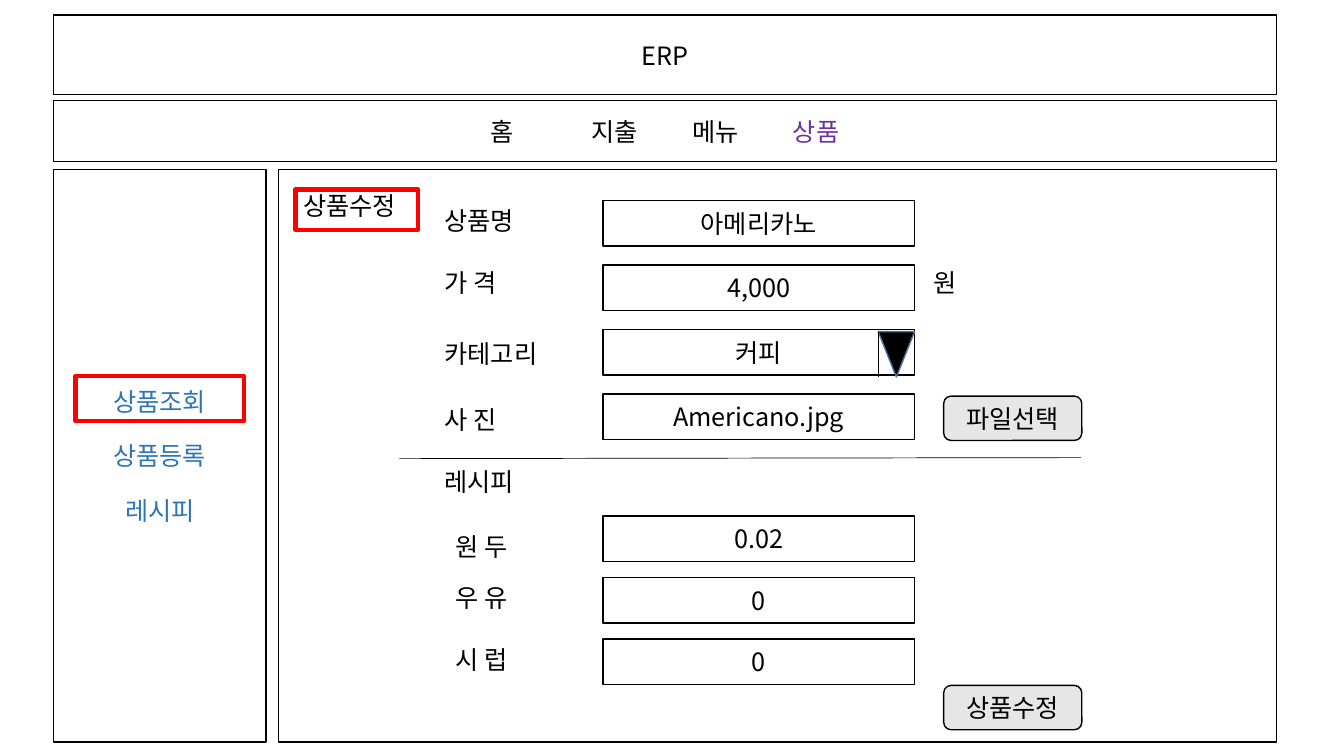
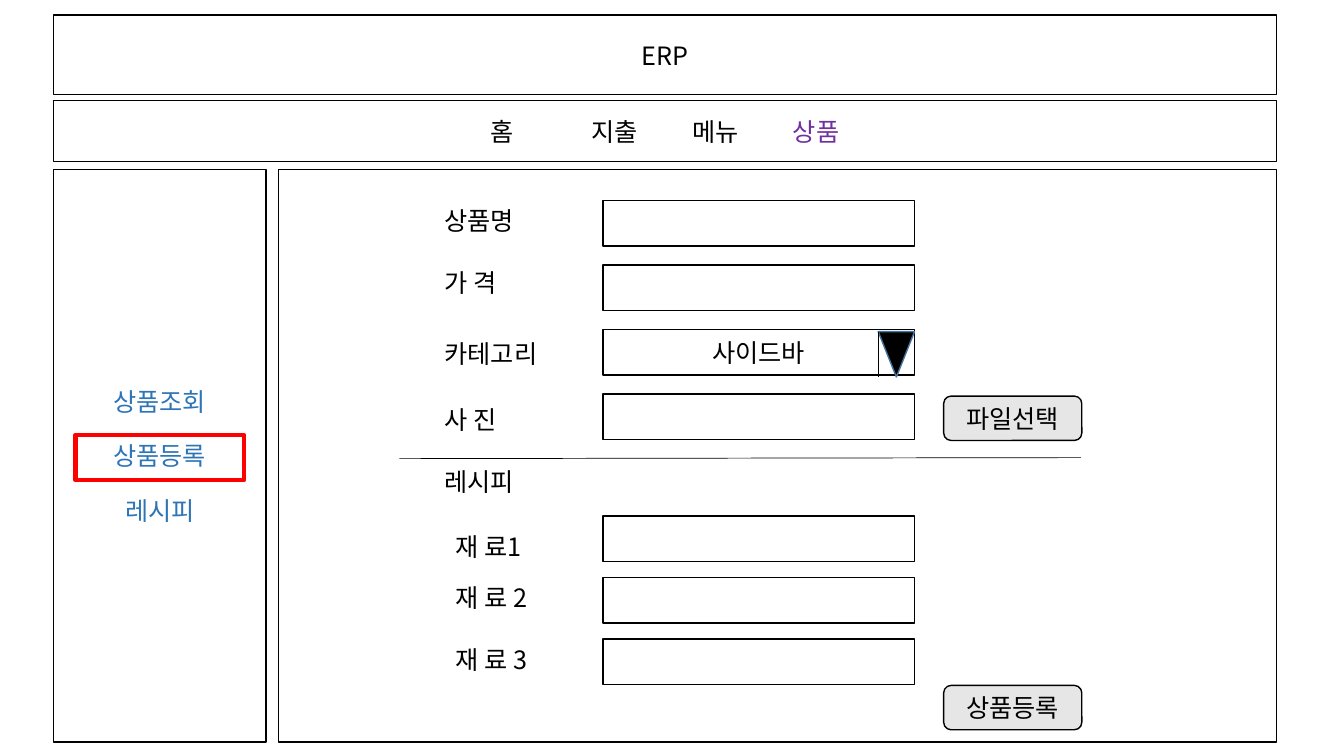
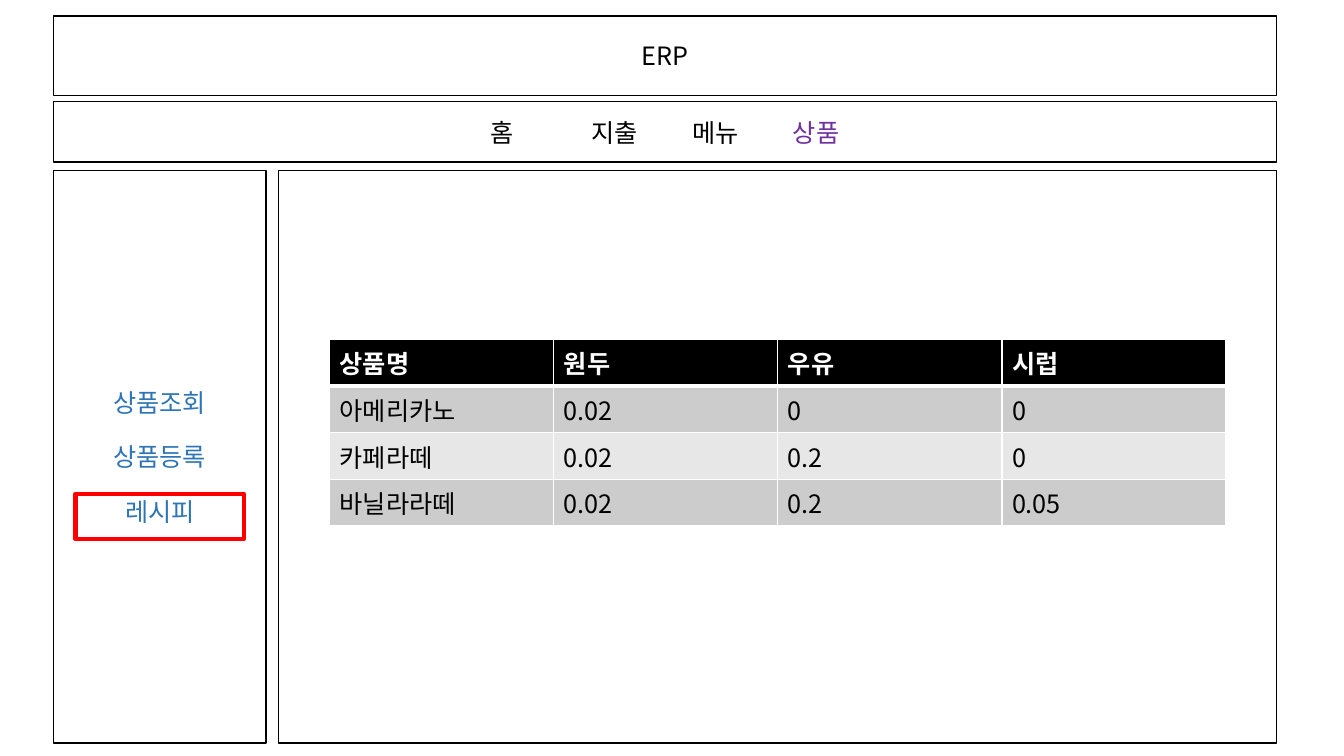
import pptx
import pptx.util
import pptx.dml.color
import pptx.enum.shapes
import pptx.enum.text
import pptx.oxml
import pptx.oxml.ns
from dataclasses import dataclass
from pptx.util import Inches


@dataclass(frozen=True)
class Theme:
    font: str = "Noto Sans CJK KR"
    size: int = 18
    ink: str = "000000"
    paper: str = "FFFFFF"
    link: str = "2E75B6"
    current: str = "7030A0"
    marker: str = "FF0000"
    button: str = "E7E6E6"
    arrow_edge: str = "43739E"
    bands: tuple = ("E7E7E7", "CCCCCC")
    thin: float = 0.5
    line: float = 1
    thick: float = 3


THEME = Theme()
SHAPES = pptx.enum.shapes.MSO_SHAPE
ALIGN = pptx.enum.text.PP_ALIGN
ANCHOR = pptx.enum.text.MSO_ANCHOR

# Content
TITLE = "ERP"
NAVIGATION = ("홈", "지출", "메뉴", "상품")
SIDEBAR = ("상품조회", "상품등록", "레시피")
PRODUCT_LABELS = ("상품명", "가 격", "카테고리", "사 진")
RECIPE_HEADING = "레시피"
FILE_BUTTON = "파일선택"
FORMS = (
    dict(marked=0, product=("아메리카노", "4,000", "커피", "Americano.jpg"),
         ingredients=("원 두", "우 유", "시 럽"), amounts=("0.02", "0", "0"),
         action="상품수정", heading="상품수정", unit="원"),
    dict(marked=1, product=("", "", "사이드바", ""),
         ingredients=("재 료1", "재 료 2", "재 료 3"), amounts=("", "", ""),
         action="상품등록"),
)
RECIPES = (
    ("상품명", "원두", "우유", "시럽"),
    ("아메리카노", "0.02", "0", "0"),
    ("카페라떼", "0.02", "0.2", "0"),
    ("바닐라라떼", "0.02", "0.2", "0.05"),
)

# Layout, in inches
LEFT, FULL_WIDTH = 0.53, 12.13
FIELD_LEFT, FIELD_WIDTH, FIELD_HEIGHT = 5.98, 3.09, 0.45
FIELD_RIGHT = FIELD_LEFT + FIELD_WIDTH
PRODUCT_TOP, PRODUCT_STEP = 1.99, 0.64
RECIPE_TOP, RECIPE_STEP = 5.12, 0.61
PRODUCT_LABEL_LEFT, INGREDIENT_LABEL_LEFT = 4.31, 4.42
PRODUCT_LABEL_TOPS = (1.99, 2.6, 3.31, 3.96)
INGREDIENT_LABEL_TOPS = (5.22, 5.73, 6.34)
LABEL_SIZE = (1.41, 0.4)
BUTTON_LEFT, BUTTON_SIZE = 9.36, (1.37, 0.44)
ARROW_WIDTH = 0.36
MARKER_TOP, MARKER_STEP = 3.73, 0.585
TABLE_BOX = (3.27, 3.37, 8.89, 1.62)


def rgb(value):
    return pptx.dml.color.RGBColor.from_string(value)


def inches(*values):
    return [Inches(value) for value in values]


def style_paragraph(paragraph, color=THEME.ink, align=ALIGN.LEFT, bold=False):
    font = paragraph.font
    font.size, font.bold, font.name = pptx.util.Pt(THEME.size), bold, THEME.font
    font.color.rgb = rgb(color)
    paragraph.alignment = align
    latin = paragraph._p.pPr.find(".//" + pptx.oxml.ns.qn("a:latin"))
    latin.addnext(pptx.oxml.parse_xml(
        f'<a:ea {pptx.oxml.ns.nsdecls("a")} typeface="{THEME.font}"/>'))


def paint(shape, fill, line, width):
    if fill:
        shape.fill.solid()
        shape.fill.fore_color.rgb = rgb(fill)
    else:
        shape.fill.background()
    shape.line.color.rgb = rgb(line)
    shape.line.width = pptx.util.Pt(width)


def add_box(slide, box, text="", kind=SHAPES.RECTANGLE, fill=THEME.paper,
            line=THEME.ink, width=THEME.line):
    shape = slide.shapes.add_shape(kind, *inches(*box))
    shape.shadow.inherit = False
    paint(shape, fill, line, width)
    if text:
        shape.text_frame.text = text
        style_paragraph(shape.text_frame.paragraphs[0], align=ALIGN.CENTER)
    return shape


def add_marker(slide, box):
    add_box(slide, box, fill=None, line=THEME.marker, width=THEME.thick)


def add_button(slide, top, text):
    add_box(slide, (BUTTON_LEFT, top, *BUTTON_SIZE), text,
            SHAPES.ROUNDED_RECTANGLE, THEME.button)


def add_label(slide, left, top, text, size=LABEL_SIZE):
    frame = slide.shapes.add_textbox(*inches(left, top, *size)).text_frame
    frame.word_wrap = True
    frame.text = text
    style_paragraph(frame.paragraphs[0])


def add_line(slide, *ends):
    line = slide.shapes.add_connector(
        pptx.enum.shapes.MSO_CONNECTOR.STRAIGHT, *inches(*ends))
    line.line.color.rgb = rgb(THEME.ink)
    line.line.width = pptx.util.Pt(THEME.thin)
    line._element.spPr.append(pptx.oxml.parse_xml(
        f'<a:effectLst {pptx.oxml.ns.nsdecls("a")}/>'))


def add_page(presentation, marked, drop=0):
    """Title band, navigation, sidebar with a marked entry, and content panel."""
    slide = presentation.slides.add_slide(presentation.slide_layouts[5])

    # Title band
    title = slide.shapes.title
    title.left, title.top, title.width, title.height = inches(
        LEFT, 0.15 + drop, FULL_WIDTH, 0.79)
    paint(title, THEME.paper, THEME.ink, THEME.line)
    title.text_frame.text = TITLE
    title.text_frame.auto_size = pptx.enum.text.MSO_AUTO_SIZE.NONE
    title.text_frame.vertical_anchor = ANCHOR.MIDDLE
    style_paragraph(title.text_frame.paragraphs[0], align=ALIGN.CENTER)

    # Sidebar
    sidebar = add_box(slide, (LEFT, 1.68 + drop, 2.11, 5.68))
    for index, entry in enumerate(SIDEBAR):
        frame = sidebar.text_frame
        paragraph = frame.add_paragraph() if index else frame.paragraphs[0]
        paragraph.text = entry
        style_paragraph(paragraph, THEME.link, ALIGN.CENTER)
        if index:
            paragraph.space_before = pptx.util.Pt(17.2)

    # Navigation, one inch between tab stops
    navigation = add_box(slide, (LEFT, 1 + drop, FULL_WIDTH, 0.6))
    paragraph = navigation.text_frame.paragraphs[0]
    paragraph.add_run().text = "".join(f"{entry} \t" for entry in NAVIGATION[:-1])
    current = paragraph.add_run()
    current.text = NAVIGATION[-1]
    current.font.color.rgb = rgb(THEME.current)
    style_paragraph(paragraph, align=ALIGN.CENTER)
    paragraph._p.pPr.set("defTabSz", str(Inches(1)))

    # Content panel and marker
    add_box(slide, (2.76, 1.68 + drop, 9.9, 5.68))
    add_marker(slide, (0.75, MARKER_TOP + marked * MARKER_STEP, 1.67, 0.45))
    return slide


def add_fields(slide, top, step, values):
    for index, value in enumerate(values):
        add_box(slide, (FIELD_LEFT, top + index * step, FIELD_WIDTH, FIELD_HEIGHT), value)


def add_form(presentation, form):
    slide = add_page(presentation, form["marked"])
    add_fields(slide, PRODUCT_TOP, PRODUCT_STEP, form["product"])
    add_fields(slide, RECIPE_TOP, RECIPE_STEP, form["amounts"])

    # Labels
    for top, label in zip(PRODUCT_LABEL_TOPS, PRODUCT_LABELS):
        add_label(slide, PRODUCT_LABEL_LEFT, top, label)
    add_label(slide, PRODUCT_LABEL_LEFT, 4.58, RECIPE_HEADING)
    for top, label in zip(INGREDIENT_LABEL_TOPS, form["ingredients"]):
        add_label(slide, INGREDIENT_LABEL_LEFT, top, label)

    # Category arrow
    arrow_left, arrow_top = FIELD_RIGHT - ARROW_WIDTH, 3.29
    arrow = add_box(slide, (arrow_left, arrow_top, ARROW_WIDTH, FIELD_HEIGHT),
                    kind=SHAPES.ISOSCELES_TRIANGLE, fill=THEME.ink, line=THEME.arrow_edge)
    arrow.rotation = 180
    add_line(slide, arrow_left, arrow_top, arrow_left, arrow_top + FIELD_HEIGHT)

    # Buttons and divider
    add_button(slide, 3.93, FILE_BUTTON)
    add_line(slide, 3.96, 4.55, 10.72, 4.54)
    add_button(slide, 6.8, form["action"])

    # Parts of the edit form only
    if "heading" in form:
        add_label(slide, 2.91, 1.84, form["heading"], (2.33, 0.4))
        add_marker(slide, (2.93, 1.88, 1.22, 0.4))
    if "unit" in form:
        add_label(slide, 9.16, PRODUCT_LABEL_TOPS[1], form["unit"], (0.55, 0.4))


def set_borders(cell, bottom):
    widths = {"lnL": THEME.line, "lnR": THEME.line, "lnT": THEME.line, "lnB": bottom}
    properties = cell._tc.get_or_add_tcPr()
    for index, (side, width) in enumerate(widths.items()):
        properties.insert(index, pptx.oxml.parse_xml(
            f'<a:{side} {pptx.oxml.ns.nsdecls("a")} w="{pptx.util.Pt(width)}"><a:solidFill>'
            f'<a:srgbClr val="{THEME.paper}"/></a:solidFill></a:{side}>'))


def add_recipes(presentation):
    slide = add_page(presentation, marked=2, drop=0.01)
    table = slide.shapes.add_table(
        len(RECIPES), len(RECIPES[0]), *inches(*TABLE_BOX)).table
    for row, values in enumerate(RECIPES):
        header = row == 0
        for column, value in enumerate(values):
            cell = table.cell(row, column)
            cell.text = value
            style_paragraph(cell.text_frame.paragraphs[0],
                            THEME.paper if header else THEME.ink, bold=header)
            cell.fill.solid()
            cell.fill.fore_color.rgb = rgb(THEME.ink if header else THEME.bands[row % 2])
            set_borders(cell, THEME.thick if header else THEME.line)


def main():
    presentation = pptx.Presentation()
    presentation.slide_width, presentation.slide_height = inches(13.33, 7.5)
    for form in FORMS:
        add_form(presentation, form)
    add_recipes(presentation)
    presentation.save("out.pptx")


if __name__ == "__main__":
    main()
